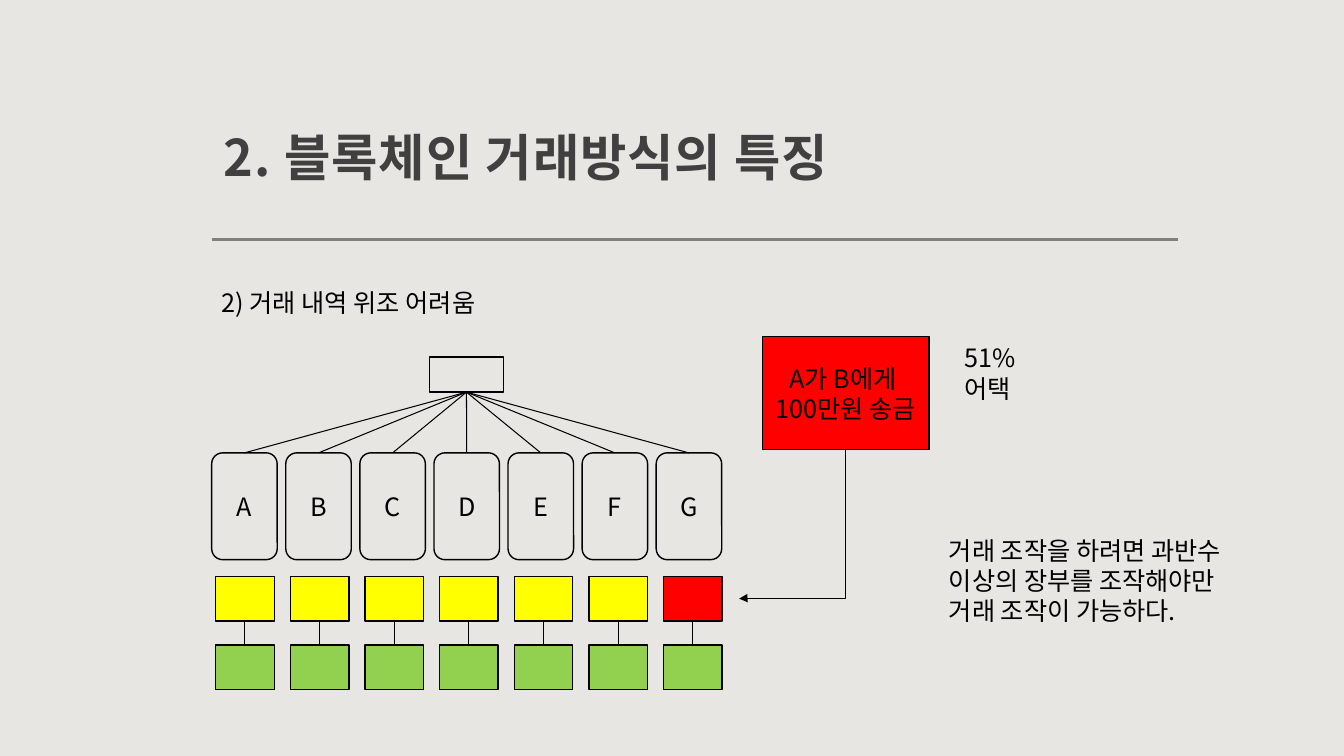
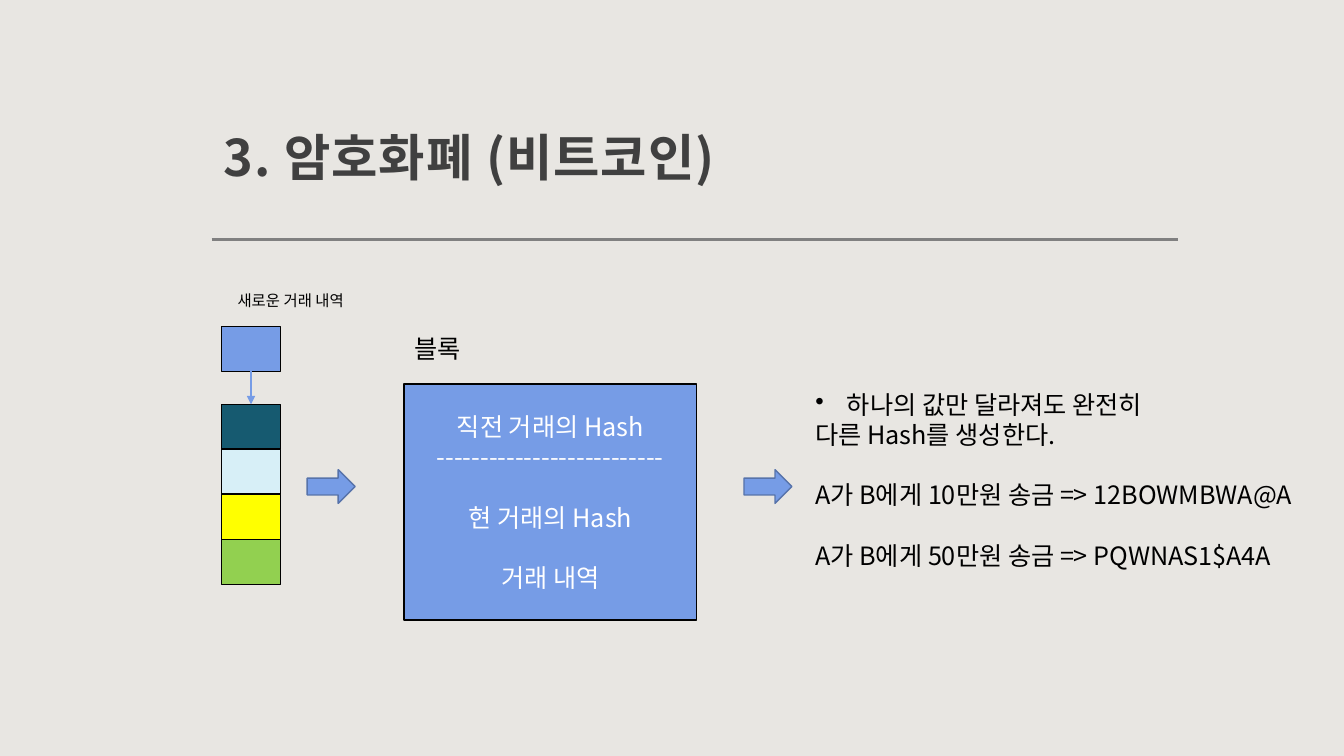
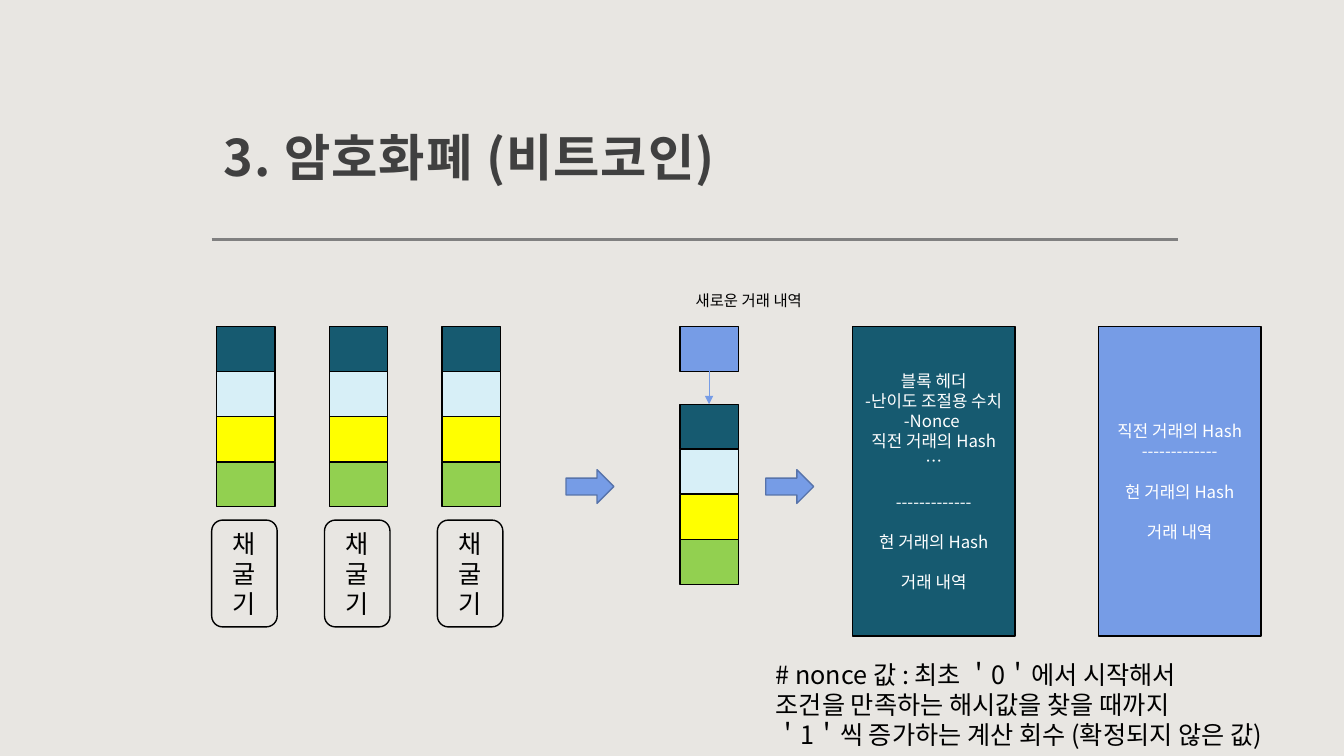
from lxml import etree
from pptx import Presentation
from pptx.dml.color import RGBColor
from pptx.enum import shapes as kinds, text as align
from pptx.oxml.ns import qn
from pptx.util import Pt

FONT = "Noto Sans CJK KR"
LINE_HEIGHT = 1.2
BLACK, WHITE, RED = "000000", "FFFFFF", "FF0000"
YELLOW, GREEN, PALE, TEAL, BLUE = "FFFF00", "92D050", "D7EFF7", "165A70", "769CE6"
BACKGROUND, TITLE_COLOR, RULE_COLOR, ARROW_EDGE = "E8E6E2", "404040", "808080", "5773AA"
STACK_COLORS = [TEAL, PALE, YELLOW, GREEN]

RECT = kinds.MSO_SHAPE.RECTANGLE
ROUNDED = kinds.MSO_SHAPE.ROUNDED_RECTANGLE
RIGHT_ARROW = kinds.MSO_SHAPE.RIGHT_ARROW
CENTER, LEFT = align.PP_ALIGN.CENTER, align.PP_ALIGN.LEFT

CELL_WIDTH, CELL_HEIGHT, CELL_PITCH = 41.8, 32, 32.2
PEER_WIDTH, PEER_HEIGHT = 46.8, 76.3
ARROW_TOP, ARROW_WIDTH, ARROW_HEIGHT = 335.5, 34.2, 24.1

# A line is a text, or a text with the number of empty lines above it.
FEATURE_TITLE = "2. 블록체인 거래방식의 특징"
COIN_TITLE = "3. 암호화폐 (비트코인)"
FORGERY_HEADING = ["2) 거래 내역 위조 어려움"]
PEERS = "ABCDEFG"
FORGED_PEER = "G"
FORGED_TRANSFER = ["A가 B에게 ", "100만원 송금"]
ATTACK_LABEL = ["51% 어택"]
ATTACK_NOTE = ["거래 조작을 하려면 과반수 이상의 장부를 조작해야만 거래 조작이 가능하다."]
NEW_RECORD = ["새로운 거래 내역"]
BLOCK_LABEL = ["블록"]
BLOCK_LINES = ["직전 거래의 Hash", "--------------------------",
               ("현 거래의 Hash", 1), ("거래 내역", 1)]
HASH_NOTE = ["하나의 값만 달라져도 완전히", "다른 Hash를 생성한다.",
             ("A가 B에게 10만원 송금 => 12BOWMBWA@A", 1),
             ("A가 B에게 50만원 송금 => PQWNAS1$A4A", 1)]
MINER_LINES = ["채", "굴", "기"]
MINER_COUNT = 3
HEADER_LINES = ["블록 헤더", "-난이도 조절용 수치", "-Nonce ", "직전 거래의 Hash", "…",
                ("-------------", 1), ("현 거래의 Hash", 1), ("거래 내역", 1)]
PREVIOUS_LINES = ["직전 거래의 Hash", "-------------",
                  ("현 거래의 Hash", 1), ("거래 내역", 1)]
NONCE_NOTE = ["# nonce 값 : 최초 ＇0＇에서 시작해서", "조건을 만족하는 해시값을 찾을 때까지",
              "＇1＇씩 증가하는 계산 회수 (확정되지 않은 값)"]


def rgb(value):
    return RGBColor.from_string(value)


def add_run(paragraph, words, size, color, bold=False):
    run = paragraph.add_run()
    run.text = words
    run.font.name, run.font.size, run.font.bold = FONT, Pt(size), bold
    run.font.color.rgb = rgb(color)
    properties = run.font._element
    etree.SubElement(properties, qn("a:ea"), typeface=FONT)
    return properties


def write_lines(frame, lines, size, color, alignment):
    frame.word_wrap = True
    for index, line in enumerate(lines):
        words, gap = line if isinstance(line, tuple) else (line, 0)
        paragraph = frame.paragraphs[0] if index == 0 else frame.add_paragraph()
        paragraph.alignment = alignment
        paragraph.line_spacing = Pt(size * LINE_HEIGHT)
        paragraph.space_before = Pt(gap * size * LINE_HEIGHT)
        add_run(paragraph, words, size, color)


def add_text(slide, lines, left, top, width, height, size=18):
    box = slide.shapes.add_textbox(Pt(left), Pt(top), Pt(width), Pt(height))
    write_lines(box.text_frame, lines, size, BLACK, LEFT)
    return box


def add_box(slide, kind, left, top, width, height, fill=None, edge=BLACK,
            lines=(), size=18, color=BLACK):
    shape = slide.shapes.add_shape(kind, Pt(left), Pt(top), Pt(width), Pt(height))
    shape.shadow.inherit = False
    if fill:
        shape.fill.solid()
        shape.fill.fore_color.rgb = rgb(fill)
    else:
        shape.fill.background()
    shape.line.color.rgb = rgb(edge)
    shape.line.width = Pt(1)
    shape.text_frame.vertical_anchor = align.MSO_ANCHOR.MIDDLE
    write_lines(shape.text_frame, lines, size, color, CENTER)
    return shape


def add_line(slide, start, end, color=BLACK, width=0.75, arrow=False,
             kind=kinds.MSO_CONNECTOR.STRAIGHT):
    line = slide.shapes.add_connector(kind, *(Pt(value) for value in (*start, *end)))
    line.line.color.rgb = rgb(color)
    line.line.width = Pt(width)
    if arrow:
        etree.SubElement(line.line._get_or_add_ln(), qn("a:tailEnd"), type="triangle")
    etree.SubElement(line._element.spPr, qn("a:effectLst"))
    return line


def add_down_left_arrow(slide, start, end):
    """Elbow arrow that goes down, then left: an elbow connector turned by 90 degrees."""
    middle_x, middle_y = (start[0] + end[0]) / 2, (start[1] + end[1]) / 2
    half_width, half_height = (end[1] - start[1]) / 2, (start[0] - end[0]) / 2
    line = add_line(slide, (middle_x - half_width, middle_y - half_height),
                    (middle_x + half_width, middle_y + half_height),
                    arrow=True, kind=kinds.MSO_CONNECTOR.ELBOW)
    properties = line._element.spPr
    properties.find(qn("a:xfrm")).set("rot", "5400000")
    geometry = properties.find(qn("a:prstGeom"))
    adjustments = geometry.find(qn("a:avLst"))
    if adjustments is None:
        adjustments = etree.SubElement(geometry, qn("a:avLst"))
    etree.SubElement(adjustments, qn("a:gd"), name="adj1", fmla="val 99700")


def add_bullet(paragraph, indent):
    properties = paragraph._p.get_or_add_pPr()
    properties.set("marL", str(Pt(indent)))
    properties.set("indent", str(-Pt(indent)))
    etree.SubElement(properties, qn("a:buChar"), char="•")


def add_titled_slide(presentation, title):
    slide = presentation.slides.add_slide(presentation.slide_layouts[6])
    slide.background.fill.solid()
    slide.background.fill.fore_color.rgb = rgb(BACKGROUND)
    add_line(slide, (151.2, 171.2), (841.7, 171.2), RULE_COLOR, 2)
    box = slide.shapes.add_textbox(Pt(151.2), Pt(34.6), Pt(690.5), Pt(105.8))
    frame = box.text_frame
    frame.word_wrap = True
    frame.vertical_anchor = align.MSO_ANCHOR.BOTTOM
    frame.margin_left = frame.margin_right = frame.margin_top = Pt(8.6)
    frame.margin_bottom = Pt(7.2)
    paragraph = frame.paragraphs[0]
    paragraph.line_spacing = 1.05
    add_run(paragraph, title, 36, TITLE_COLOR, bold=True).set("spc", "70")
    return slide


def add_cell(slide, left, top, fill):
    add_box(slide, RECT, left, top, CELL_WIDTH, CELL_HEIGHT, fill)


def add_stack(slide, left, top):
    for index, fill in enumerate(STACK_COLORS):
        add_cell(slide, left, top + index * CELL_PITCH, fill)


def add_growing_chain(slide, left):
    """New record with its label, and an arrow down to the stack of older ones."""
    record_top, stack_top = 233.3, 288.8
    center = left + CELL_WIDTH / 2
    add_stack(slide, left, stack_top)
    add_cell(slide, left, record_top, BLUE)
    add_line(slide, (center, record_top + CELL_HEIGHT), (center, stack_top), BLUE, arrow=True)
    add_text(slide, NEW_RECORD, left + 4.2, 204.5, 98.6, 20.9, 11)


def add_step_arrow(slide, left):
    add_box(slide, RIGHT_ARROW, left, ARROW_TOP, ARROW_WIDTH, ARROW_HEIGHT, BLUE, ARROW_EDGE)


def build_forgery_slide(presentation):
    slide = add_titled_slide(presentation, FEATURE_TITLE)
    add_text(slide, FORGERY_HEADING, 151.2, 201.6, 539.3, 28.8)

    peer_top, record_top, older_top = 323.5, 411.7, 460.6
    root_left, root_top, root_width, root_height = 306.9, 254.9, 52.6, 25.2
    root_foot = (root_left + root_width / 2, root_top + root_height)
    add_box(slide, RECT, root_left, root_top, root_width, root_height)
    for index, peer in enumerate(PEERS):
        peer_left, cell_left = 151.2 + index * 52.92, 154.1 + index * 53.3
        cell_center = cell_left + CELL_WIDTH / 2
        add_line(slide, root_foot, (peer_left + PEER_WIDTH / 2, peer_top))
        add_box(slide, ROUNDED, peer_left, peer_top, PEER_WIDTH, PEER_HEIGHT, lines=[peer])
        add_cell(slide, cell_left, record_top, RED if peer == FORGED_PEER else YELLOW)
        add_cell(slide, cell_left, older_top, GREEN)
        add_line(slide, (cell_center, record_top + CELL_HEIGHT), (cell_center, older_top))

    add_box(slide, RECT, 544.7, 240.5, 119, 80.6, RED, lines=FORGED_TRANSFER)
    add_down_left_arrow(slide, (604.2, 321.1), (528, 427.6))
    add_text(slide, ATTACK_LABEL, 681.8, 241.2, 87.8, 28.8)
    add_text(slide, ATTACK_NOTE, 670.7, 378.7, 237.6, 72.7)


def build_block_slide(presentation):
    slide = add_titled_slide(presentation, COIN_TITLE)
    add_growing_chain(slide, 158.4)
    add_step_arrow(slide, 219.4)
    add_text(slide, BLOCK_LABEL, 288.7, 234.7, 51.1, 28.8)
    add_box(slide, RECT, 288.7, 274.3, 208.8, 168.5, BLUE, lines=BLOCK_LINES, color=WHITE)
    add_step_arrow(slide, 531.4)
    note = add_text(slide, HASH_NOTE, 575.3, 274.3, 373.7, 181.4)
    add_bullet(note.text_frame.paragraphs[0], 22.5)


def build_mining_slide(presentation):
    slide = add_titled_slide(presentation, COIN_TITLE)
    for index in range(MINER_COUNT):
        miner_left = 151.2 + index * 80.6
        add_stack(slide, miner_left + 3.4, 233.3)
        add_box(slide, ROUNDED, miner_left, 371.5, PEER_WIDTH, PEER_HEIGHT, lines=MINER_LINES)
    add_step_arrow(slide, 404.3)
    add_growing_chain(slide, 485.6)
    add_step_arrow(slide, 547)
    for left, fill, lines in [(609, TEAL, HEADER_LINES), (784.7, BLUE, PREVIOUS_LINES)]:
        add_box(slide, RECT, left, 233.3, 116, 221, fill, lines=lines, size=12, color=WHITE)
    add_text(slide, NONCE_NOTE, 547, 467.3, 390.2, 72.7)


def main():
    presentation = Presentation()
    presentation.slide_width, presentation.slide_height = Pt(960), Pt(540)
    build_forgery_slide(presentation)
    build_block_slide(presentation)
    build_mining_slide(presentation)
    presentation.save("out.pptx")


if __name__ == "__main__":
    main()
